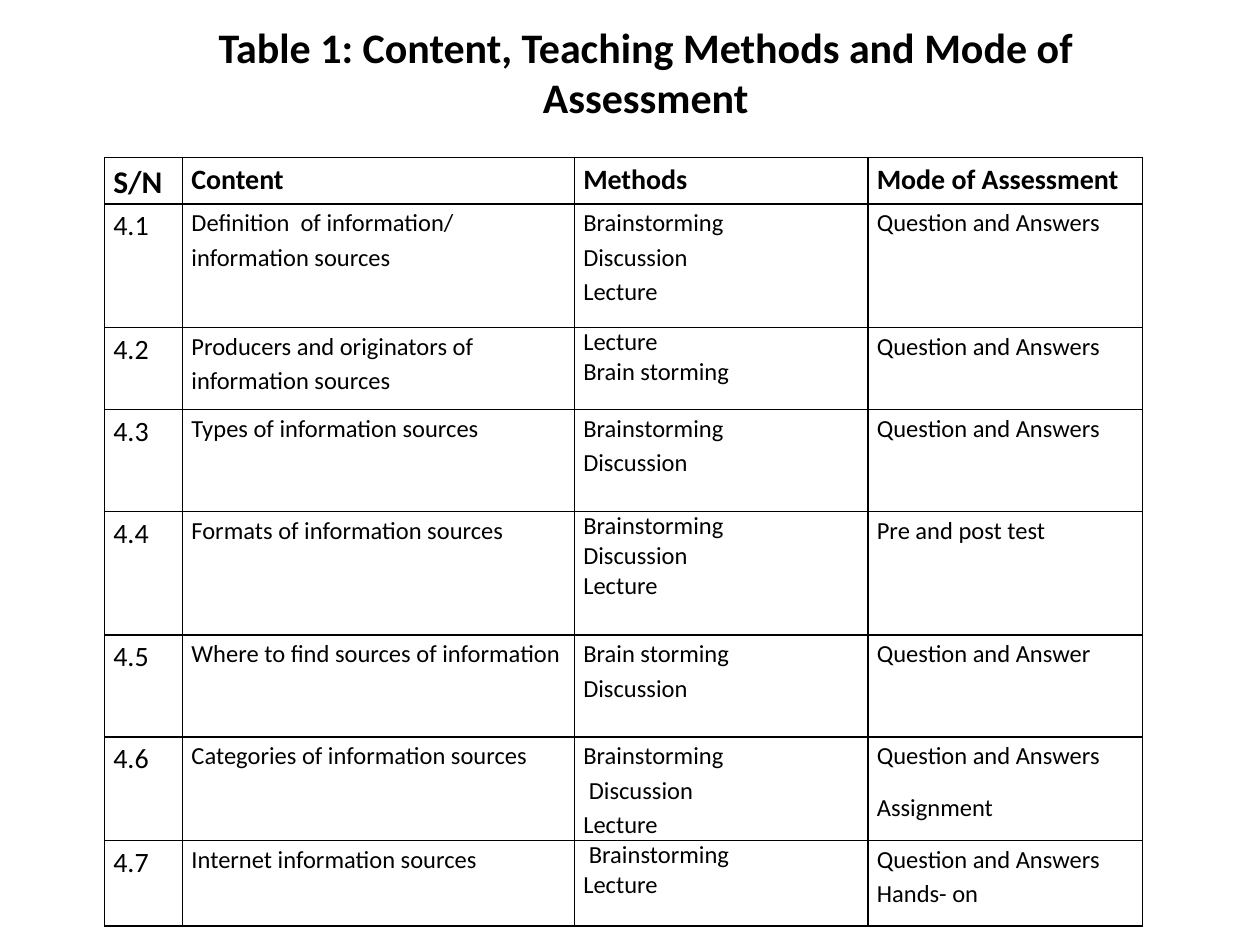
from dataclasses import dataclass

import pptx
import pptx.dml.color
import pptx.enum.text
import pptx.oxml
import pptx.oxml.ns
import pptx.util
from pptx.util import Inches, Pt


@dataclass(frozen=True)
class Theme:
    font: str = "Calibri"
    ink: str = "000000"
    title: int = 24
    corner: int = 18
    heading: int = 16
    body: int = 14
    border: int = 1
    line_spacing: float = 1.15
    paragraph_gap: int = 10


@dataclass(frozen=True)
class Topic:
    number: str
    content: str
    methods: str
    assessment: str
    height: float
    methods_spacing: float = Theme.line_spacing
    spaced_assessment: bool = False


THEME = Theme()
HEADINGS = ("S/N", "Content", "Methods", "Mode of Assessment")
COLUMN_WIDTHS = (0.62, 3.11, 2.33, 2.18)
HEADING_HEIGHT = 0.37
TOPICS = (
    Topic("4.1", "Definition  of information/\ninformation sources",
          "Brainstorming\nDiscussion\nLecture", "Question and Answers", 0.98),
    Topic("4.2", "Producers and originators of information sources",
          "Lecture\nBrain storming", "Question and Answers", 0.65, methods_spacing=1.0),
    Topic("4.3", "Types of information sources",
          "Brainstorming\nDiscussion", "Question and Answers", 0.81),
    Topic("4.4", "Formats of information sources",
          "Brainstorming\nDiscussion\nLecture", "Pre and post test", 0.98,
          methods_spacing=1.0),
    Topic("4.5", "Where to find sources of information",
          "Brain storming\nDiscussion", "Question and Answer", 0.81),
    Topic("4.6", "Categories of information sources",
          "Brainstorming\n Discussion\nLecture", "Question and Answers\nAssignment", 0.82,
          spaced_assessment=True),
    Topic("4.7", "Internet information sources",
          " Brainstorming\nLecture", "Question and Answers\nHands- on", 0.68,
          methods_spacing=1.0),
)


def style_font(font, size, bold=False):
    font.name = THEME.font
    font.size = Pt(size)
    font.bold = bold
    font.color.rgb = pptx.dml.color.RGBColor.from_string(THEME.ink)


def add_borders(cell):
    properties = cell._tc.get_or_add_tcPr()
    for side in ("lnL", "lnR", "lnT", "lnB"):
        properties.append(pptx.oxml.parse_xml(
            f'<a:{side} {pptx.oxml.ns.nsdecls("a")} w="{Pt(THEME.border)}">'
            f'<a:solidFill><a:srgbClr val="{THEME.ink}"/></a:solidFill></a:{side}>'))


def fill_cell(cell, text, size, bold=False, spacing=THEME.line_spacing, gap=0):
    """Write one paragraph per line of text, with gap points after each."""
    add_borders(cell)
    cell.fill.background()
    cell.margin_left = cell.margin_right = Inches(0.07)
    cell.margin_top = cell.margin_bottom = 0
    cell.text_frame.text = text
    for paragraph in cell.text_frame.paragraphs:
        paragraph.line_spacing = spacing
        paragraph.space_after = Pt(gap)
        for run in paragraph.runs:
            style_font(run.font, size, bold)


def set_title(slide, text):
    title = slide.shapes.title
    title.left, title.top = Inches(1.5), Inches(0.12)
    title.width, title.height = Inches(7.25), Inches(1.21)
    frame = title.text_frame
    frame.text = text
    frame.word_wrap = True
    frame.auto_size = pptx.enum.text.MSO_AUTO_SIZE.NONE
    frame.vertical_anchor = pptx.enum.text.MSO_ANCHOR.TOP
    heading = frame.paragraphs[0]
    heading.alignment = pptx.enum.text.PP_ALIGN.CENTER
    style_font(heading.runs[0].font, THEME.title, bold=True)


def add_topic_table(slide):
    heights = [HEADING_HEIGHT] + [topic.height for topic in TOPICS]
    table = slide.shapes.add_table(
        len(heights), len(COLUMN_WIDTHS), Inches(0.83), Inches(1.25),
        Inches(sum(COLUMN_WIDTHS)), Inches(sum(heights))).table
    table.first_row = table.horz_banding = False
    for column, width in zip(table.columns, COLUMN_WIDTHS):
        column.width = Inches(width)
    for row, height in zip(table.rows, heights):
        row.height = Inches(height)

    for index, heading in enumerate(HEADINGS):
        size = THEME.heading if index else THEME.corner
        fill_cell(table.cell(0, index), heading, size, bold=True)
    for row, topic in enumerate(TOPICS, start=1):
        number, content, methods, assessment = (
            table.cell(row, column) for column in range(len(HEADINGS)))
        fill_cell(number, topic.number, THEME.heading)
        fill_cell(content, topic.content, THEME.body)
        fill_cell(methods, topic.methods, THEME.body, spacing=topic.methods_spacing)
        fill_cell(assessment, topic.assessment, THEME.body,
                  gap=THEME.paragraph_gap if topic.spaced_assessment else 0)


def main():
    presentation = pptx.Presentation()
    presentation.slide_width = Inches(10)
    presentation.slide_height = Inches(7.5)
    title_only = presentation.slide_layouts[5]
    slide = presentation.slides.add_slide(title_only)
    set_title(slide, "Table 1: Content, Teaching Methods and Mode of Assessment")
    add_topic_table(slide)
    presentation.save("out.pptx")


if __name__ == "__main__":
    main()
